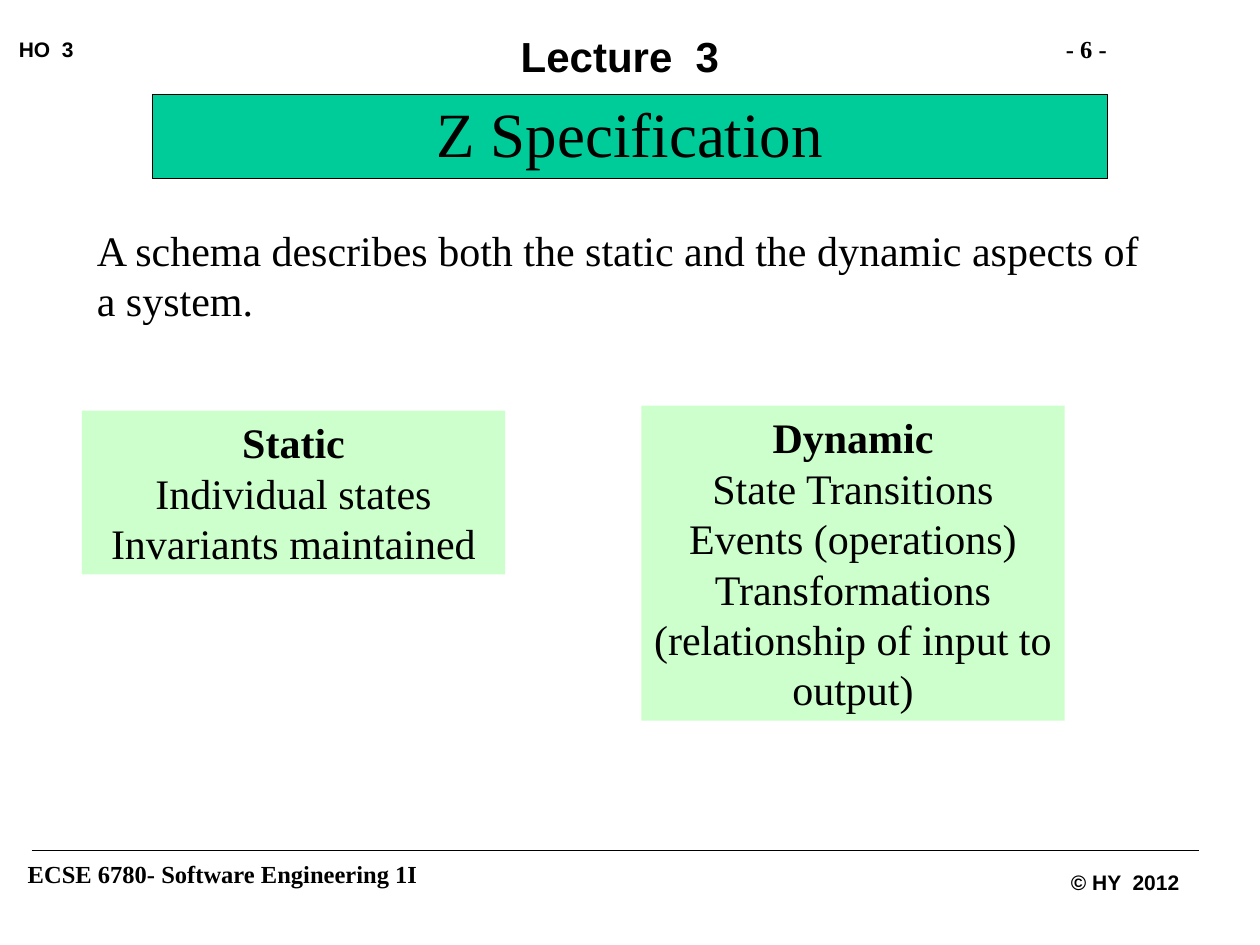
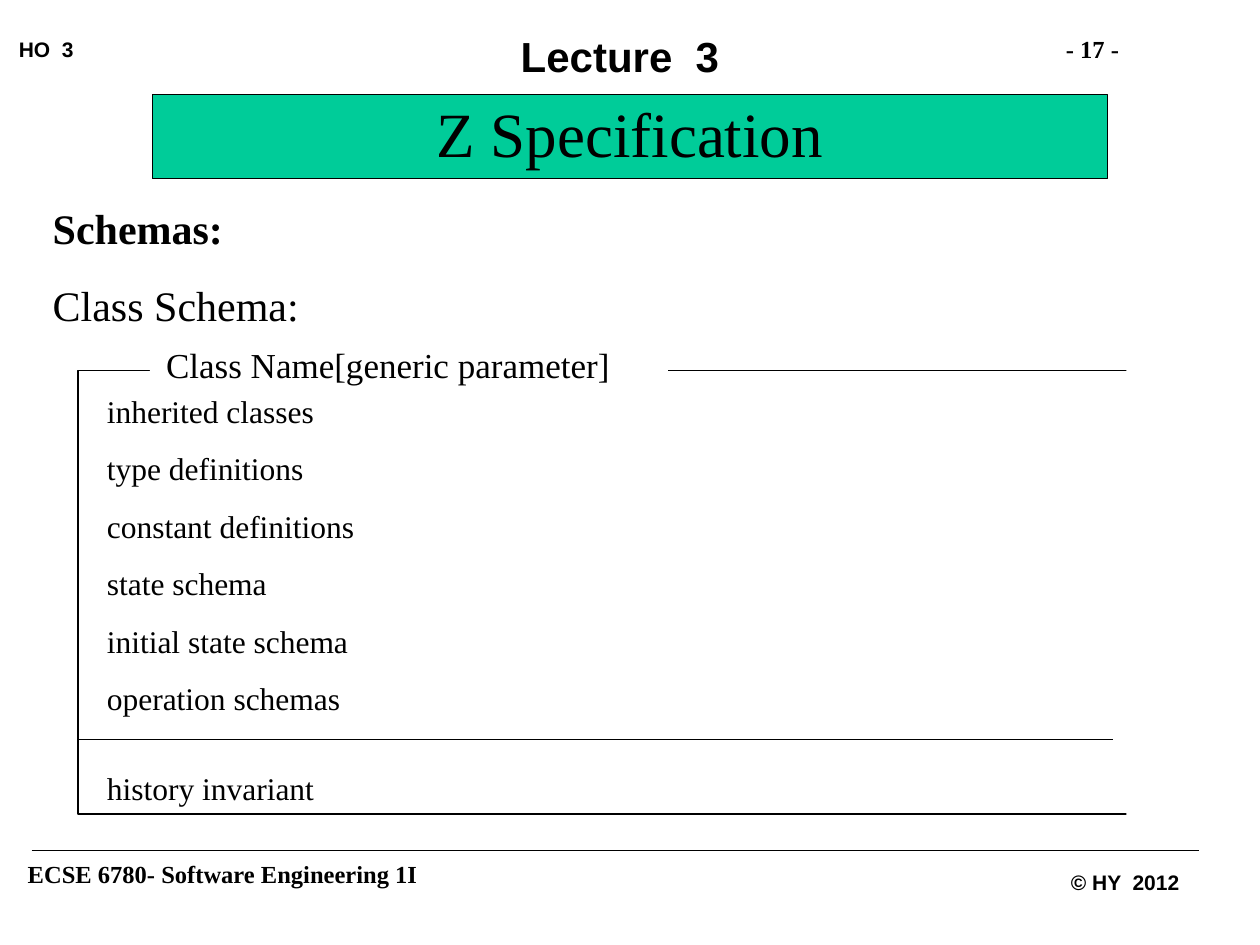
from lxml import etree
from pptx import Presentation
from pptx.dml.color import RGBColor
from pptx.enum.shapes import MSO_CONNECTOR, MSO_SHAPE
from pptx.enum.text import MSO_ANCHOR, PP_ALIGN
from pptx.oxml.ns import qn
from pptx.util import Inches, Pt

BLACK = RGBColor(0x00, 0x00, 0x00)
WHITE = RGBColor(0xFF, 0xFF, 0xFF)
BAND_GREEN = RGBColor(0x00, 0xCC, 0x99)
PANEL_GREEN = RGBColor(0xCC, 0xFF, 0xCC)
SERIF, SANS = "Times New Roman", "Arial"
LEFT, CENTER = PP_ALIGN.LEFT, PP_ALIGN.CENTER
TOP = MSO_ANCHOR.TOP
STRAIGHT = MSO_CONNECTOR.STRAIGHT
RECTANGLE = MSO_SHAPE.RECTANGLE
BODY_INSETS = (0.1, 0.05)
MARGIN_INSETS = (0.05, 0.02)


def write(shape, lines, size=24, font=SERIF, align=LEFT, bold_lines=0,
          space_before=0, line_spacing=1.0, insets=BODY_INSETS, wrap=True):
    """Fill a shape with paragraphs, the first bold_lines of them bold."""
    frame = shape.text_frame
    frame.word_wrap = wrap
    frame.vertical_anchor = TOP
    frame.margin_left = frame.margin_right = Inches(insets[0])
    frame.margin_top = frame.margin_bottom = Inches(insets[1])
    for index, line in enumerate(lines):
        paragraph = frame.add_paragraph() if index else frame.paragraphs[0]
        paragraph.text = line
        paragraph.alignment = align
        paragraph.line_spacing = line_spacing
        paragraph.space_before = Pt(space_before if index else 0)
        paragraph.font.size = Pt(size)
        paragraph.font.name = font
        paragraph.font.bold = index < bold_lines
        paragraph.font.color.rgb = BLACK
    return frame


def add_text(slide, box, lines, **text_format):
    """Add a text box at (left, top, width, height) in inches."""
    return write(slide.shapes.add_textbox(*map(Inches, box)), lines, **text_format)


def add_block(slide, box, fill, outlined=False):
    """Add a filled rectangle, with a thin black outline on request."""
    block = slide.shapes.add_shape(RECTANGLE, *map(Inches, box))
    block.shadow.inherit = False
    block.fill.solid()
    block.fill.fore_color.rgb = fill
    if outlined:
        block.line.color.rgb = BLACK
        block.line.width = Pt(0.75)
    else:
        block.line.fill.background()
    return block


def add_rule(slide, left, right, y, width=0.75):
    """Add a horizontal black line."""
    rule = slide.shapes.add_connector(
        STRAIGHT, Inches(left), Inches(y), Inches(right), Inches(y))
    rule.line.color.rgb = BLACK
    rule.line.width = Pt(width)
    etree.SubElement(rule._element.spPr, qn("a:effectLst"))


def add_lecture_slide(deck, page):
    """Add a slide with the running heads, footer and title band."""
    slide = deck.slides.add_slide(deck.slide_layouts[6])
    running = {"bold_lines": 1, "insets": MARGIN_INSETS, "wrap": False}
    course = add_block(slide, (0.17, 6.8, 3.58, 0.28), WHITE)
    write(course, ["ECSE 6780- Software Engineering 1I"], size=14, **running)
    page_number = add_block(slide, (8.41, 0.26, 1.34, 0.3), WHITE)
    write(page_number, [f"- {page} -"], size=14, line_spacing=0.97, **running)
    for box, text, size, align in [
        ((0.1, 0.27, 0.54, 0.24), "HO  3", 12, LEFT),
        ((8.45, 6.88, 0.97, 0.24), "© HY  2012", 12, LEFT),
        ((4.08, 0.22, 1.68, 0.44), "Lecture  3", 24, CENTER),
    ]:
        add_text(slide, box, [text], size=size, font=SANS, align=align, **running)
    add_rule(slide, 0.25, 9.52, 6.75, width=1)
    band = add_block(slide, (1.21, 0.75, 7.58, 0.67), BAND_GREEN, outlined=True)
    write(band, ["Z Specification"], size=36, align=CENTER, insets=(0.1, 0))
    return slide


def add_aspect_panel(slide, box, aspect, features):
    """Add a pale panel with a bold aspect name above its features."""
    write(add_block(slide, box, PANEL_GREEN), [aspect, *features],
          align=CENTER, bold_lines=1)


def add_class_schema(slide, box, name, definitions, invariant):
    """Draw a schema frame, open at the right and behind its name."""
    left, top, width, height = box
    right, bottom = left + width, top + height
    add_block(slide, box, WHITE, outlined=True)
    add_block(slide, (left + 0.57, top - 0.19, 4.11, 0.46), WHITE)
    add_block(slide, (right - 0.12, top - 0.27, 0.76, height + 0.29), WHITE)
    add_text(slide, (left + 0.6, top - 0.26, 4.06, 0.44), [name], size=20)
    body = add_text(slide, (left + 0.13, top + 0.12, 4.33, height - 0.13),
                    [*definitions, invariant], size=18, space_before=11.25)
    body.paragraphs[-1].space_before = Pt(29.5)
    add_rule(slide, left, right - 0.23, bottom - 0.59)


def build_aspects_slide(deck):
    """Build the slide on static and dynamic aspects."""
    slide = add_lecture_slide(deck, 6)
    add_text(slide, (0.67, 1.73, 8.61, 0.9),
             ["A schema describes both the static and the dynamic aspects of a system."])
    add_aspect_panel(slide, (0.65, 3.26, 3.36, 1.3), "Static",
                     ["Individual states", "Invariants maintained"])
    add_aspect_panel(slide, (5.09, 3.22, 3.36, 2.5), "Dynamic",
                     ["State Transitions", "Events (operations)",
                      "Transformations (relationship of input to output)"])


def build_class_schema_slide(deck):
    """Build the slide on the parts of a class schema."""
    slide = add_lecture_slide(deck, 17)
    add_text(slide, (0.32, 1.56, 9.18, 1.72), ["Schemas:", "Class Schema:"],
             bold_lines=1, space_before=15)
    add_class_schema(
        slide, (0.62, 2.94, 8.44, 3.52), "Class Name[generic parameter]",
        ["inherited classes", "type definitions", "constant definitions",
         "state schema", "initial state schema", "operation schemas"],
        "history invariant")


def main():
    """Build and save the deck."""
    deck = Presentation()
    deck.slide_width, deck.slide_height = Inches(10), Inches(7.5)
    build_aspects_slide(deck)
    build_class_schema_slide(deck)
    deck.save("out.pptx")


if __name__ == "__main__":
    main()
